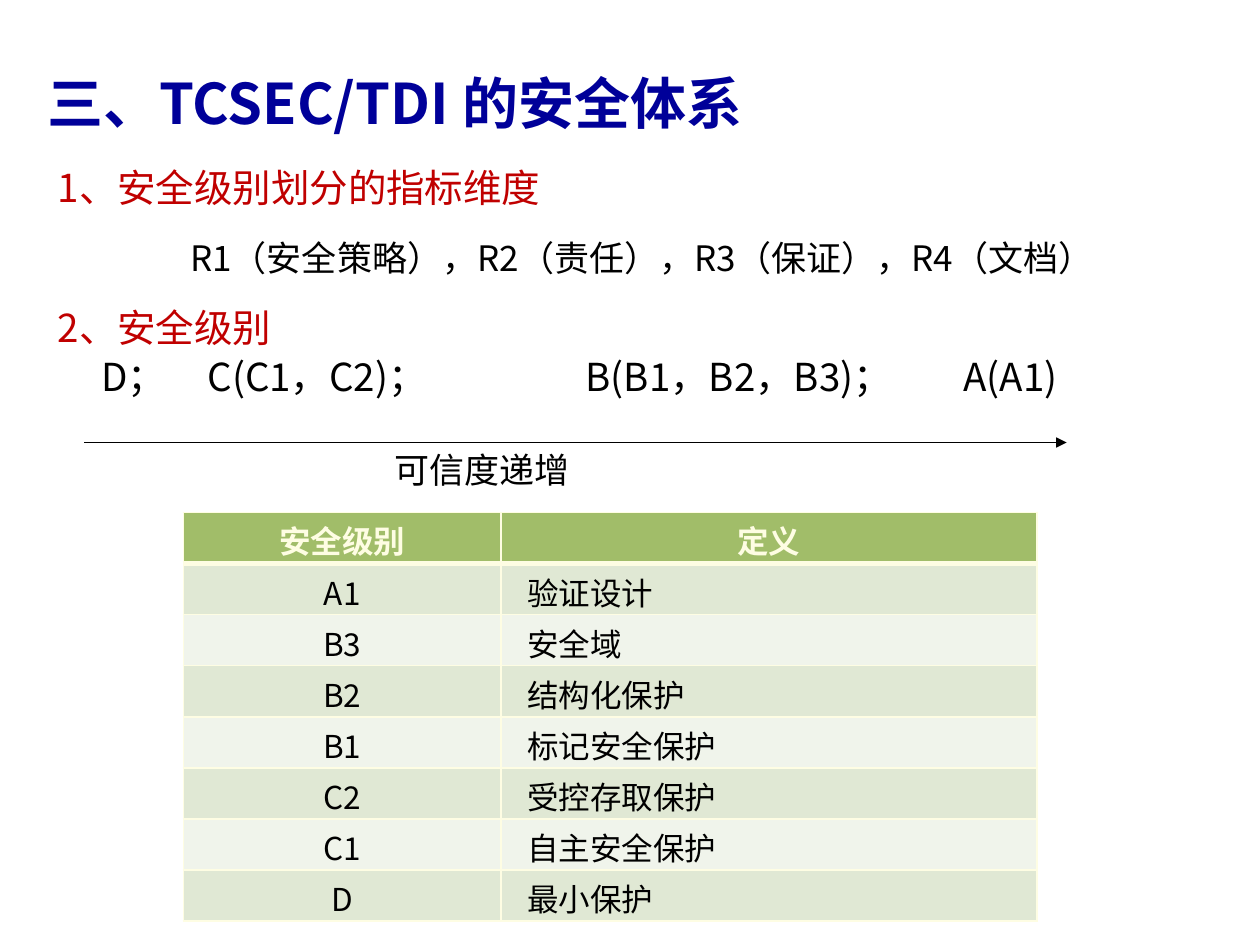
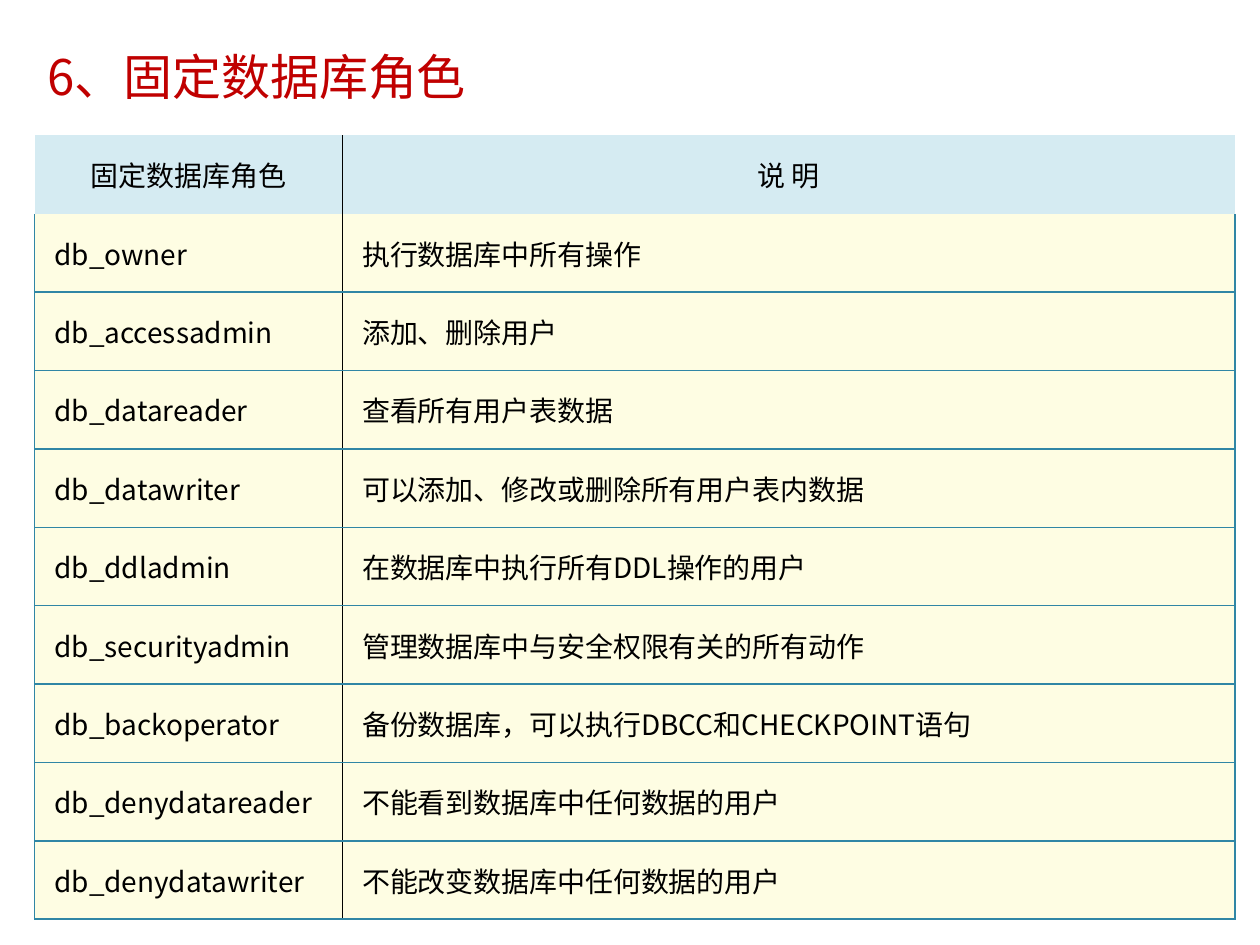
from lxml import etree
from pptx import Presentation
from pptx.dml.color import RGBColor
from pptx.enum import shapes, text
from pptx.oxml import ns
from pptx.util import Cm, Pt

FONT = "Noto Sans CJK SC"
BLACK = RGBColor(0x00, 0x00, 0x00)
NAVY = RGBColor(0x00, 0x00, 0x99)
RED = RGBColor(0xC0, 0x00, 0x00)
CREAM = RGBColor(0xFE, 0xFD, 0xE3)
GREEN = RGBColor(0xA1, 0xBD, 0x69)
GREEN_BANDS = [RGBColor(0xF0, 0xF4, 0xEB), RGBColor(0xE0, 0xE8, 0xD4)]
PALE_BLUE = RGBColor(0xD5, 0xEB, 0xF2)
TEAL = RGBColor(0x30, 0x86, 0xA5)
TAB_SIZE = str(Cm(2.54))
LEFT, CENTER = text.PP_ALIGN.LEFT, text.PP_ALIGN.CENTER


def write(paragraph, words, size, color, bold=False, margin=0, indent=0, **layout):
    """Fill a paragraph without bullet; layout holds paragraph attributes."""
    paragraph.text = words
    properties = paragraph._p.get_or_add_pPr()
    for name, value in {"marL": Cm(margin), "indent": Cm(indent), "defTabSz": TAB_SIZE}.items():
        properties.set(name, str(value))
    etree.SubElement(properties, ns.qn("a:buNone"))
    for name, value in {"alignment": LEFT, "space_before": Pt(0), **layout}.items():
        setattr(paragraph, name, value)
    for run in paragraph.runs:
        for name, value in {"name": FONT, "size": Pt(size), "bold": bold}.items():
            setattr(run.font, name, value)
        run.font.color.rgb = color
        etree.SubElement(run._r.get_or_add_rPr(), ns.qn("a:ea"), typeface=FONT)


def style_cell(cell, fill, borders, **margins):
    """Set fill, margins and the borders {side: (color, points)}; other sides stay bare."""
    properties = cell._tc.get_or_add_tcPr()
    for side in "LRTB":
        color, points = borders.get(side, (None, 1))
        line = etree.SubElement(properties, ns.qn(f"a:ln{side}"), w=str(Pt(points)))
        if color is None:
            etree.SubElement(line, ns.qn("a:noFill"))
        else:
            solid = etree.SubElement(line, ns.qn("a:solidFill"))
            etree.SubElement(solid, ns.qn("a:srgbClr"), val=str(color))
    cell.fill.solid()
    cell.fill.fore_color.rgb = fill
    for side, value in margins.items():
        setattr(cell, f"margin_{side}", Cm(value))


presentation = Presentation()
presentation.slide_width, presentation.slide_height = Cm(25.4), Cm(19.05)
for root in (presentation.element, presentation.slide_master.element):
    for level in root.iter(ns.qn("a:lvl1pPr")):
        level.set("defTabSz", TAB_SIZE)
levels_slide = presentation.slides.add_slide(presentation.slide_layouts[1])
roles_slide = presentation.slides.add_slide(presentation.slide_layouts[5])

# Titles
titles = [
    (levels_slide, "三、TCSEC/TDI 的安全体系", 32, NAVY, True, (0.7, 0.96, 24, 2.18)),
    (roles_slide, "6、固定数据库角色", 28, RED, False, (0.7, 0.33, 21.16, 2.39)),
]
for slide, words, size, color, bold, box in titles:
    title = slide.shapes.title
    title.left, title.top, title.width, title.height = map(Cm, box)
    title.text_frame.auto_size = text.MSO_AUTO_SIZE.NONE
    title.text_frame.vertical_anchor = text.MSO_ANCHOR.MIDDLE
    write(title.text_frame.paragraphs[0], words, size, color, bold)

# Security dimensions and levels
body = levels_slide.placeholders[1]
body.left, body.top, body.width, body.height = map(Cm, (0.91, 3.12, 23.6, 7.8))
frame = body.text_frame
frame.auto_size = text.MSO_AUTO_SIZE.NONE
frame.vertical_anchor = text.MSO_ANCHOR.TOP
body_lines = [
    ("1、安全级别划分的指标维度", 22, RED, 0, 0, 0),
    ("R1（安全策略），R2（责任），R3（保证），R4（文档）", 20, BLACK, 11, 2.67, 0),
    ("2、安全级别", 22, RED, 13, 0, 0),
    ("D；\tC(C1，C2)；\t\tB(B1，B2，B3)；\tA(A1)", 22, BLACK, 0, 0.48, 0.4),
]
for index, (words, size, color, before, margin, indent) in enumerate(body_lines):
    paragraph = frame.paragraphs[0] if index == 0 else frame.add_paragraph()
    write(paragraph, words, size, color, margin=margin, indent=indent,
          space_before=Pt(before), line_spacing=Pt(28))

# Trust arrow
arrow = levels_slide.shapes.add_connector(
    shapes.MSO_CONNECTOR.STRAIGHT, Cm(1.7), Cm(8.92), Cm(21.5), Cm(8.92))
arrow.line.color.rgb = BLACK
arrow.line.width = Pt(0.75)
etree.SubElement(arrow.line._get_or_add_ln(), ns.qn("a:tailEnd"), type="triangle")
etree.SubElement(arrow._element.spPr, ns.qn("a:effectLst"))
caption = levels_slide.shapes.add_textbox(Cm(7.7), Cm(8.92), Cm(4.65), Cm(1.1))
caption.text_frame.word_wrap = True
write(caption.text_frame.paragraphs[0], "可信度递增", 20, BLACK)

# Tables
level_rows = [
    ("安全级别", "定义"),
    ("A1", "验证设计"),
    ("B3", "安全域"),
    ("B2", "结构化保护"),
    ("B1", "标记安全保护"),
    ("C2", "受控存取保护"),
    ("C1", "自主安全保护"),
    ("D", "最小保护"),
]
role_rows = [
    ("固定数据库角色", "说 明"),
    ("db_owner", "执行数据库中所有操作"),
    ("db_accessadmin", "添加、删除用户"),
    ("db_datareader", "查看所有用户表数据"),
    ("db_datawriter", "可以添加、修改或删除所有用户表内数据"),
    ("db_ddladmin", "在数据库中执行所有DDL操作的用户"),
    ("db_securityadmin", "管理数据库中与安全权限有关的所有动作"),
    ("db_backoperator", "备份数据库，可以执行DBCC和CHECKPOINT语句"),
    ("db_denydatareader", "不能看到数据库中任何数据的用户"),
    ("db_denydatawriter", "不能改变数据库中任何数据的用户"),
]
tables = []
for slide, rows, left, top, widths, row_height in [
    (levels_slide, level_rows, 3.7, 10.33, (6.4, 10.8), 1.03),
    (roles_slide, role_rows, 0.7, 2.73, (6.2, 18), 1.58),
]:
    table = slide.shapes.add_table(
        len(rows), 2, Cm(left), Cm(top), Cm(sum(widths)), Cm(row_height * len(rows))).table
    table.first_row = table.horz_banding = False
    for column, width in zip(table.columns, widths):
        column.width = Cm(width)
    for row in table.rows:
        row.height = Cm(row_height)
    tables.append(table)
levels_table, roles_table = tables

for r, row in enumerate(level_rows):
    header = r == 0
    for c, words in enumerate(row):
        cell = levels_table.cell(r, c)
        borders = {side: (CREAM, 1) for side in "LRTB"}
        if r <= 1:
            borders["B" if header else "T"] = (CREAM, 3)
        centered = header or c == 0
        style_cell(cell, GREEN if header else GREEN_BANDS[r % 2], borders,
                   left=0.25 if centered else 0.53, right=0.25, top=0.1, bottom=0)
        write(cell.text_frame.paragraphs[0], words, 18, CREAM if header else BLACK,
              header, alignment=CENTER if centered else LEFT)

for r, row in enumerate(role_rows):
    header = r == 0
    for c, words in enumerate(row):
        cell = roles_table.cell(r, c)
        inner, outer = ("R", "L") if c == 0 else ("L", "R")
        borders = {inner: (BLACK, 1)}
        if not header:
            borders.update({outer: (TEAL, 1), "B": (TEAL, 1)})
        if r > 1:
            borders["T"] = (TEAL, 1)
        style_cell(cell, PALE_BLUE if header else CREAM, borders,
                   left=0.4, right=0.4, top=0, bottom=0)
        cell.vertical_anchor = text.MSO_ANCHOR.MIDDLE
        write(cell.text_frame.paragraphs[0], words, 16, BLACK,
              alignment=CENTER if header else LEFT)

presentation.save("out.pptx")
